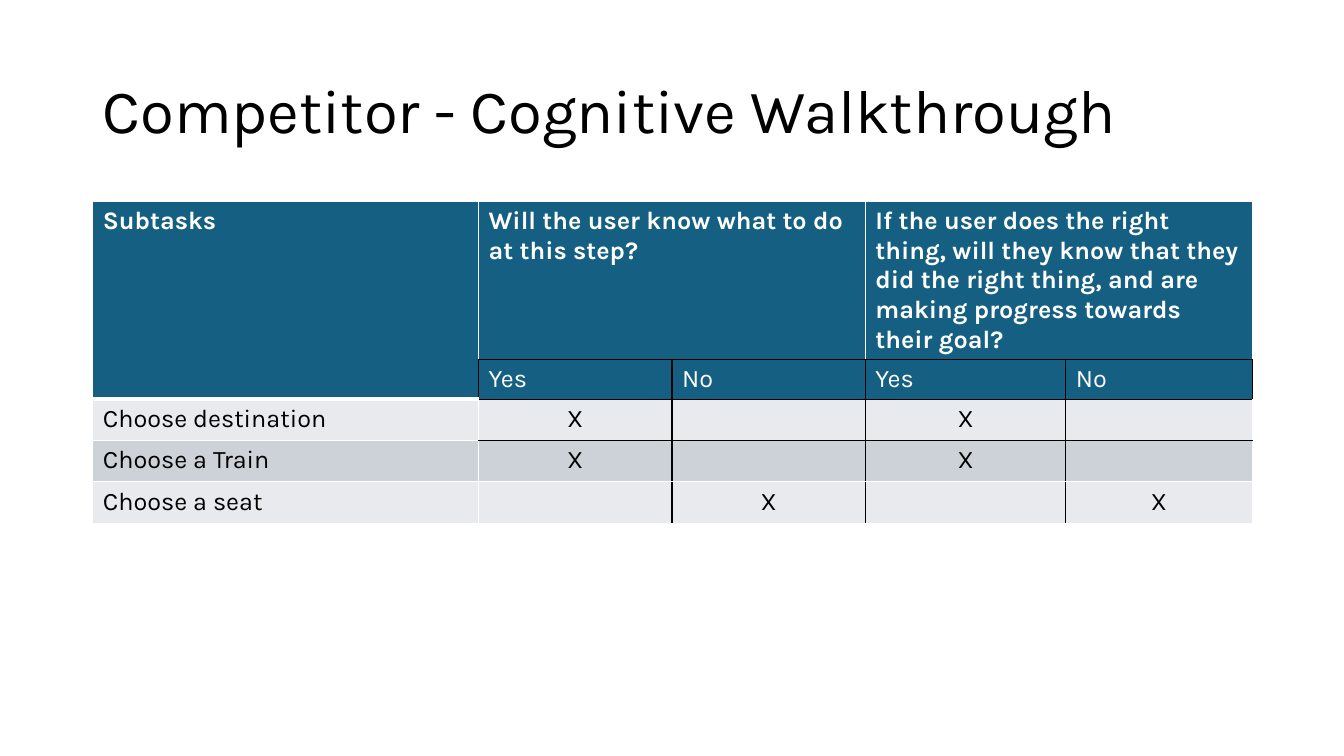
import pptx
import pptx.util
import pptx.dml.color
import pptx.enum.text
import pptx.oxml
import pptx.oxml.ns

Inches, Pt = pptx.util.Inches, pptx.util.Pt
RGB = pptx.dml.color.RGBColor
ALIGN = pptx.enum.text.PP_ALIGN

BLACK = RGB(0x00, 0x00, 0x00)
WHITE = RGB(0xFF, 0xFF, 0xFF)
BLUE = RGB(0x15, 0x60, 0x82)
LIGHT = RGB(0xE8, 0xEA, 0xED)
GREY = RGB(0xCC, 0xD2, 0xD8)
FONT = "Karla"

COLS = [3.83, 1.92, 1.92, 1.99, 1.85]
ROWS = [1.56, 0.39, 0.41, 0.41, 0.41]
FILLS = [BLUE, BLUE, LIGHT, GREY, LIGHT]
MERGES = [(0, 0, 1, 0), (0, 1, 0, 2), (0, 3, 0, 4)]
CELLS = [
    ["Subtasks", "Will the user know what to do at this step?", "",
     "If the user does the right thing, will they know that they did the "
     "right thing, and are making progress towards their goal?", ""],
    ["", "Yes", "No", "Yes", "No"],
    ["Choose destination", "X", "", "X", ""],
    ["Choose a Train", "X", "", "X", ""],
    ["Choose a seat", "", "X", "", "X"],
]


def format_font(font, **values):
    font.color.rgb = values.pop("color")
    for name, value in values.items():
        setattr(font, name, value)


def add_title(slide, left, top, width, height):
    sp = slide.shapes.title
    box = {"left": left, "top": top, "width": width, "height": height}
    for name, value in box.items():
        setattr(sp, name, Inches(value))
    tf = sp.text_frame
    tf.word_wrap = True
    tf.vertical_anchor = pptx.enum.text.MSO_ANCHOR.MIDDLE
    p = tf.paragraphs[0]
    p.alignment = ALIGN.LEFT
    p.line_spacing = 0.9
    r = p.add_run()
    r.text = "Competitor - Cognitive Walkthrough"
    format_font(r.font, name=FONT, size=Pt(44), color=BLACK)


def add_border(cell, tag, color, width):
    cell._tc.get_or_add_tcPr().append(pptx.oxml.parse_xml(
        f'<a:{tag} {pptx.oxml.ns.nsdecls("a")} w="{Pt(width)}"><a:solidFill>'
        f'<a:srgbClr val="{color}"/></a:solidFill></a:{tag}>'))


def add_borders(cell, row, col):
    """Colour each side by the grid edge on which it lies."""
    for tag, edge in (("lnL", col), ("lnR", col + cell.span_width)):
        black = (row == 1 and edge > 0) or (row > 1 and 2 <= edge <= 4)
        add_border(cell, tag, BLACK if black else WHITE, 0.96)
    for tag, edge in (("lnT", row), ("lnB", row + cell.span_height)):
        black = col > 0 and 1 <= edge <= 3
        width = 3 if col == 0 and edge == 2 else 0.96
        add_border(cell, tag, BLACK if black else WHITE, width)


def fill_cell(cell, row, col):
    add_borders(cell, row, col)
    cell.fill.solid()
    cell.fill.fore_color.rgb = FILLS[row]
    p = cell.text_frame.paragraphs[0]
    text = CELLS[row][col]
    if text:
        r = p.add_run()
        r.text = text
        format_font(r.font, name=FONT, size=Pt(18), bold=row == 0,
                    color=WHITE if row < 2 else BLACK)
    if text == "X":
        p.alignment = ALIGN.CENTER


def add_walkthrough_table(slide, left, top, width):
    frame = slide.shapes.add_table(len(ROWS), len(COLS), Inches(left), Inches(top),
                                   Inches(width), Inches(sum(ROWS)))
    table = frame.table
    for col, share in zip(table.columns, COLS):
        col.width = Inches(width * share / sum(COLS))
    for row, height in zip(table.rows, ROWS):
        row.height = Inches(height)
    for r1, c1, r2, c2 in MERGES:
        table.cell(r1, c1).merge(table.cell(r2, c2))
    for row in range(len(ROWS)):
        for col in range(len(COLS)):
            fill_cell(table.cell(row, col), row, col)


def main():
    prs = pptx.Presentation()
    prs.slide_width, prs.slide_height = Inches(13.33), Inches(7.5)
    s = prs.slides.add_slide(prs.slide_layouts[5])
    add_title(s, 0.92, 0.4, 11.5, 1.45)
    add_walkthrough_table(s, 0.92, 2, 11.5)
    prs.save("out.pptx")


if __name__ == "__main__":
    main()
